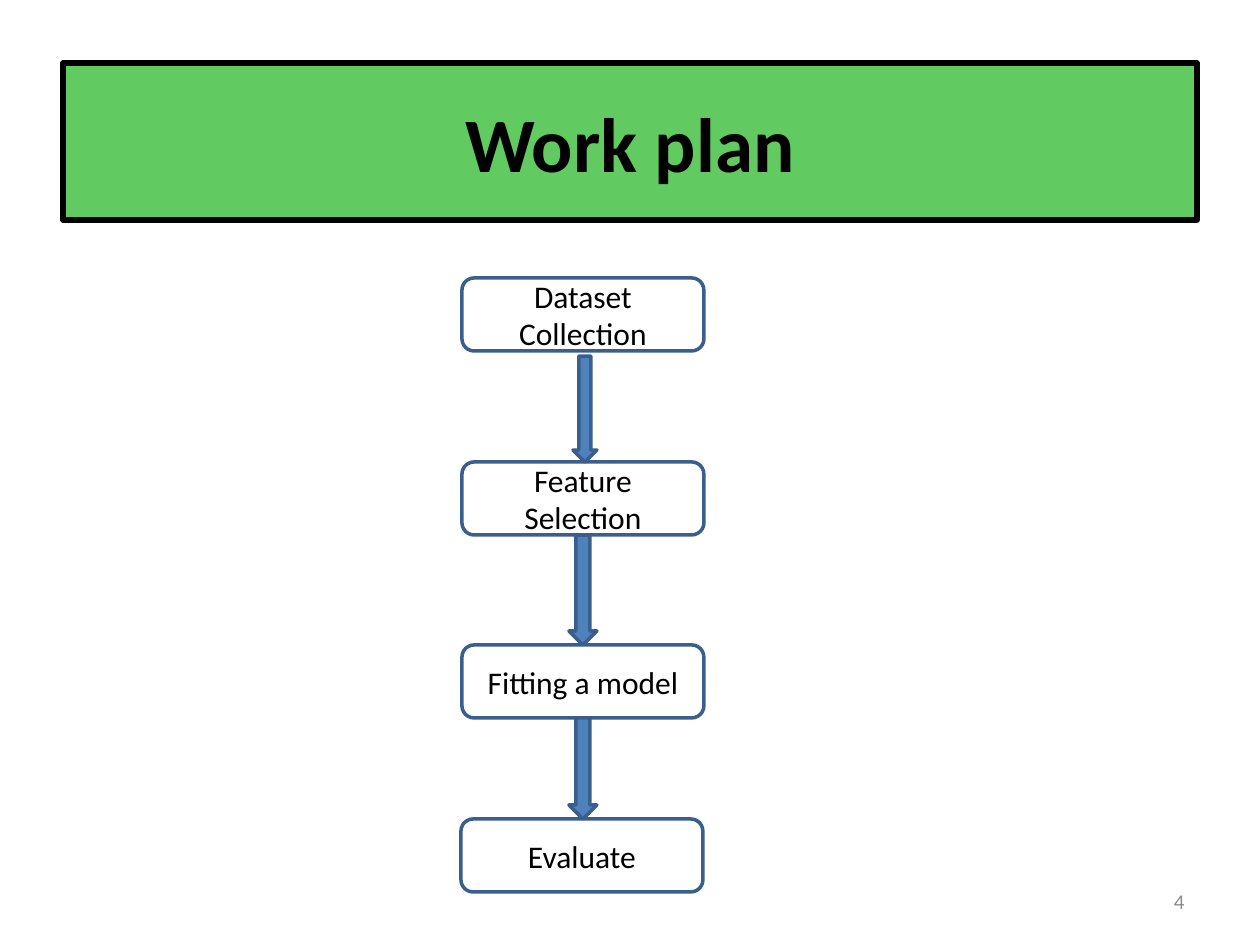
from dataclasses import dataclass
from itertools import pairwise

from pptx import Presentation
from pptx.dml.color import RGBColor
from pptx.enum.shapes import MSO_SHAPE
from pptx.enum.text import MSO_ANCHOR, PP_ALIGN
from pptx.util import Pt

# Content: steps with left and top in px; arrows with width, shift and start gap
TITLE = "Work plan"
PAGE_NUMBER = "4"
STEPS = [
    ("Dataset Collection", 462, 278),
    ("Feature Selection", 462, 462),
    ("Fitting a model", 462, 645),
    ("Evaluate", 461, 819),
]
ARROWS = [(24, 2, 5), (28, 0, 0), (28, 0, 0)]
STEP_WIDTH, STEP_HEIGHT = 242, 73


@dataclass(frozen=True)
class Theme:
    font: str = "Calibri"
    ink: str = "000000"
    paper: str = "FFFFFF"
    banner: str = "61CB61"
    arrow: str = "4F81BD"
    outline: str = "3A5F8C"
    muted: str = "8C8C8C"
    title_size: int = 44
    step_size: int = 18
    number_size: int = 12


THEME = Theme()


def px(length):
    return round(length * 914400 / 126)


def paint(shape, fill, line, weight):
    shape.fill.solid()
    shape.fill.fore_color.rgb = RGBColor.from_string(fill)
    shape.line.color.rgb = RGBColor.from_string(line)
    shape.line.width = Pt(weight)


def write(shape, text, size, color, align=PP_ALIGN.CENTER, bold=False):
    frame = shape.text_frame
    frame.text = text
    frame.word_wrap = True
    frame.vertical_anchor = MSO_ANCHOR.MIDDLE
    para = frame.paragraphs[0]
    para.alignment = align
    para.font.name = THEME.font
    para.font.size = Pt(size)
    para.font.bold = bold
    para.font.color.rgb = RGBColor.from_string(color)


def add_block(page, kind, area, fill):
    block = page.shapes.add_shape(kind, *map(px, area))
    block.shadow.inherit = False
    paint(block, fill, THEME.outline, 2)
    return block


def main():
    deck = Presentation()
    deck.slide_width, deck.slide_height = px(1260), px(945)
    page = deck.slides.add_slide(deck.slide_layouts[5])

    # Title banner
    title = page.shapes.title
    title.left, title.top, title.width, title.height = map(px, (63, 63, 1134, 157))
    paint(title, THEME.banner, THEME.ink, 3)
    write(title, TITLE, THEME.title_size, THEME.ink, bold=True)

    # Steps
    for text, left, top in STEPS:
        area = (left, top, STEP_WIDTH, STEP_HEIGHT)
        box = add_block(page, MSO_SHAPE.ROUNDED_RECTANGLE, area, THEME.paper)
        write(box, text, THEME.step_size, THEME.ink)

    # Arrows fill the space from each step to the next
    for (upper, lower), (width, shift, gap) in zip(pairwise(STEPS), ARROWS):
        left = upper[1] + (STEP_WIDTH - width) / 2 + shift
        top = upper[2] + STEP_HEIGHT + gap
        area = (left, top, width, lower[2] - top)
        add_block(page, MSO_SHAPE.DOWN_ARROW, area, THEME.arrow)

    # Page number
    number = page.shapes.add_textbox(*map(px, (903, 876, 294, 50)))
    write(number, PAGE_NUMBER, THEME.number_size, THEME.muted, PP_ALIGN.RIGHT)

    deck.save("out.pptx")


if __name__ == "__main__":
    main()
